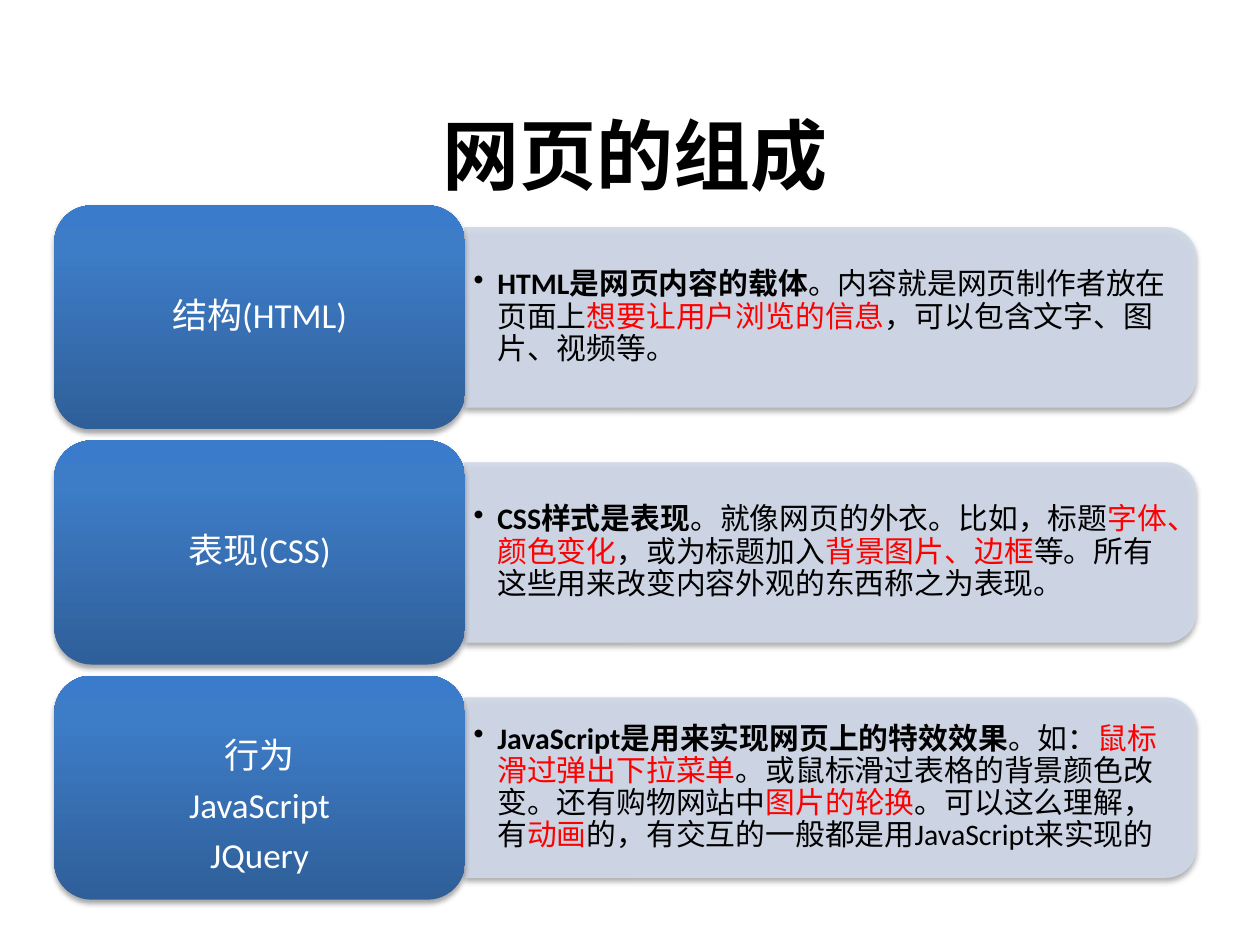
from copy import deepcopy

from pptx import Presentation
from pptx.dml.color import RGBColor
from pptx.enum.shapes import MSO_SHAPE
from pptx.enum.text import MSO_ANCHOR, PP_ALIGN
from pptx.oxml import parse_xml
from pptx.oxml.ns import nsdecls, qn
from pptx.util import Pt

TITLE = "网页的组成"
BOLD, PLAIN, RED = (True, "000000"), (False, "000000"), (False, "FF0000")
ROWS = [
    (["结构(HTML)"], [
        ("HTML是网页内容的载体", BOLD),
        ("。内容就是网页制作者放在页面上", PLAIN),
        ("想要让用户浏览的信息", RED),
        ("，可以包含文字、图片、视频等。", PLAIN),
    ]),
    (["表现(CSS)"], [
        ("CSS样式是表现", BOLD),
        ("。就像网页的外衣。比如，标题", PLAIN),
        ("字体、颜色变化", RED),
        ("，或为标题加入", PLAIN),
        ("背景图片、边框", RED),
        ("等。所有这些用来改变内容外观的东西称之为表现。", PLAIN),
    ]),
    (["行为", "JavaScript", "JQuery"], [
        ("JavaScript是用来实现网页上的特效效果", BOLD),
        ("。如：", PLAIN),
        ("鼠标滑过弹出下拉菜单", RED),
        ("。或鼠标滑过表格的背景颜色改变。还有购物网站中", PLAIN),
        ("图片的轮换", RED),
        ("。可以这么理解，有", PLAIN),
        ("动画", RED),
        ("的，有交互的一般都是用JavaScript来实现的", PLAIN),
    ]),
]
GRADIENT = [(0, "2F5F99"), (0.8, "3D7CC7"), (1, "3A7CCB")]
PANEL_COLOR = "D0D8E8"

LEFT, TOP, PITCH = 31, 117.4, 134.35
LABEL_WIDTH, LABEL_HEIGHT = 234.7, 128
PANEL_WIDTH, PANEL_HEIGHT = 417.6, 102.4
TEXT_WIDTH, TEXT_HEIGHT = 412.6, 92.4
INDENT = 13.5
STACK_INSET = 25


def color(hex_text):
    return RGBColor.from_string(hex_text)


def format_span(span, size, hex_text, bold=False, font="Calibri"):
    span.font.name = font
    span.font.size = Pt(size)
    span.font.bold = bold
    span.font.color.rgb = color(hex_text)


def set_frame(frame, anchor, sides, top, bottom):
    frame.word_wrap = True
    frame.vertical_anchor = anchor
    frame.margin_left = frame.margin_right = Pt(sides)
    frame.margin_top, frame.margin_bottom = Pt(top), Pt(bottom)


def add_shadow(shape):
    shape.shadow.inherit = False
    shape._element.spPr.find(qn("a:effectLst")).append(parse_xml(
        f'<a:outerShdw {nsdecls("a")} blurRad="40000" dist="23000" dir="5400000" rotWithShape="0">'
        '<a:srgbClr val="000000"><a:alpha val="35000"/></a:srgbClr></a:outerShdw>'))


def add_panel(slide, left, middle):
    shape = slide.shapes.add_shape(
        MSO_SHAPE.ROUND_2_SAME_RECTANGLE,
        Pt(left + (PANEL_WIDTH - PANEL_HEIGHT) / 2), Pt(middle - PANEL_WIDTH / 2),
        Pt(PANEL_HEIGHT), Pt(PANEL_WIDTH))
    shape.rotation = 90
    shape.fill.solid()
    shape.fill.fore_color.rgb = color(PANEL_COLOR)
    shape.line.color.rgb = color(PANEL_COLOR)
    shape.line.width = Pt(0.75)
    for fill_color in shape._element.spPr.iter(qn("a:srgbClr")):
        fill_color.append(parse_xml(f'<a:alpha {nsdecls("a")} val="90000"/>'))
    add_shadow(shape)


def add_description(slide, left, middle, spans):
    box = slide.shapes.add_textbox(
        Pt(left), Pt(middle - TEXT_HEIGHT / 2), Pt(TEXT_WIDTH), Pt(TEXT_HEIGHT))
    set_frame(box.text_frame, MSO_ANCHOR.MIDDLE, 5, 2.7, 2.7)
    para = box.text_frame.paragraphs[0]
    para.level = 1
    para.line_spacing = 0.9
    properties = para._p.get_or_add_pPr()
    properties.set("marL", str(Pt(INDENT)))
    properties.set("indent", str(-Pt(INDENT)))
    properties.append(parse_xml(f'<a:buChar {nsdecls("a")} char="•"/>'))
    for text, (bold, hex_text) in spans:
        span = para.add_run()
        span.text = text
        format_span(span, 17, hex_text, bold)


def add_label(slide, top, lines):
    shape = slide.shapes.add_shape(
        MSO_SHAPE.ROUNDED_RECTANGLE, Pt(LEFT), Pt(top), Pt(LABEL_WIDTH), Pt(LABEL_HEIGHT))
    shape.fill.gradient()
    shape.fill.gradient_angle = 90
    stop_list = next(shape._element.spPr.iter(qn("a:gsLst")))
    stop_list.append(deepcopy(stop_list[0]))
    for stop, (position, hex_text) in zip(shape.fill.gradient_stops, GRADIENT):
        stop.position = position
        stop.color.rgb = color(hex_text)
    shape.line.fill.background()
    add_shadow(shape)
    frame = shape.text_frame
    set_frame(frame, MSO_ANCHOR.MIDDLE, 5.5, STACK_INSET if len(lines) > 1 else 2.7, 2.7)
    frame.text = "\n".join(lines)
    for para in frame.paragraphs:
        para.alignment = PP_ALIGN.CENTER
        para.line_spacing = 0.9
        para.space_after = Pt(7)
        format_span(para.runs[0], 20, "FFFFFF")


def add_title(slide):
    box = slide.shapes.add_textbox(Pt(60), Pt(1), Pt(606), Pt(113))
    set_frame(box.text_frame, MSO_ANCHOR.BOTTOM, 7.2, 3.6, 0)
    box.text_frame.text = TITLE
    para = box.text_frame.paragraphs[0]
    para.alignment = PP_ALIGN.CENTER
    format_span(para.runs[0], 44, "000000", True, "Noto Sans Mono")


def main():
    deck = Presentation()
    deck.slide_width, deck.slide_height = Pt(720), Pt(540)
    page = deck.slides.add_slide(deck.slide_layouts[6])
    add_title(page)
    for index, (lines, spans) in enumerate(ROWS):
        top = TOP + index * PITCH
        middle = top + LABEL_HEIGHT / 2
        add_panel(page, LEFT + LABEL_WIDTH, middle)
        add_description(page, LEFT + LABEL_WIDTH, middle, spans)
        add_label(page, top, lines)
    deck.save("out.pptx")


if __name__ == "__main__":
    main()
